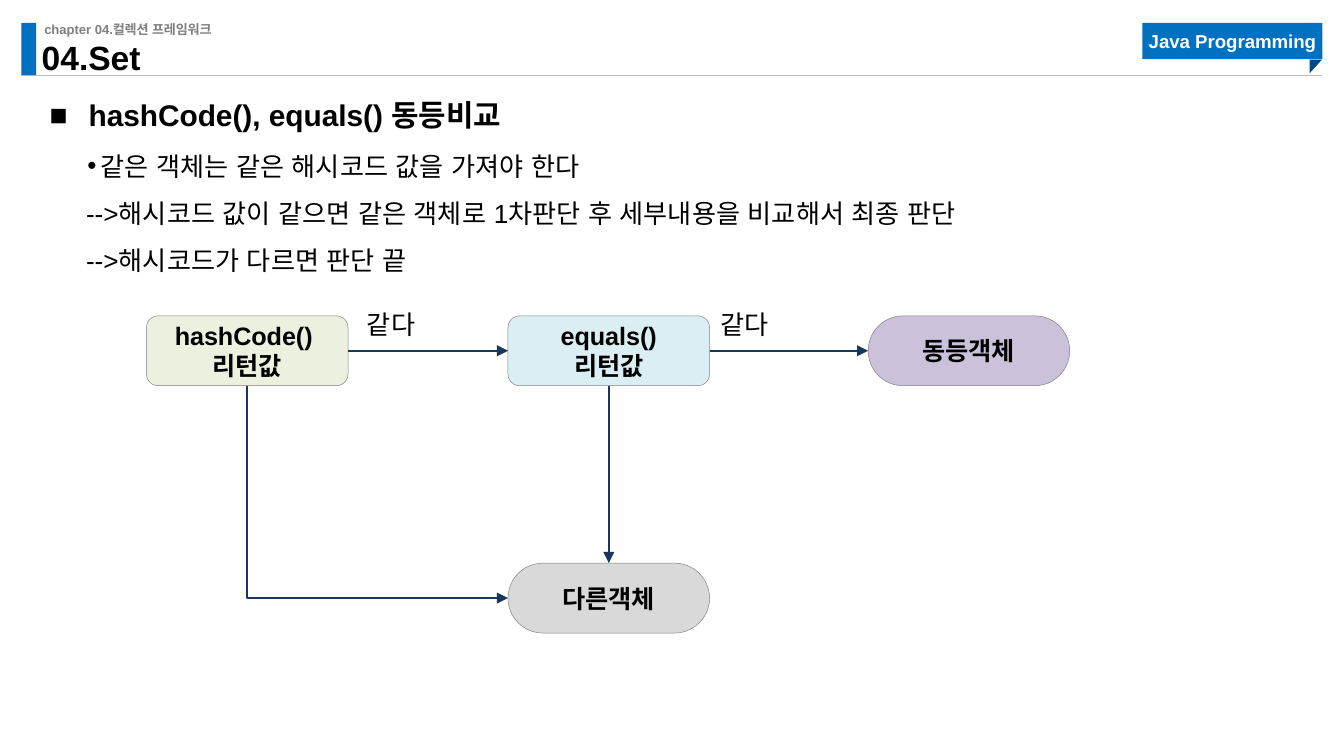
from lxml.etree import SubElement
from pptx import Presentation
from pptx.dml.color import RGBColor
from pptx.enum.shapes import MSO_CONNECTOR, MSO_SHAPE
from pptx.enum.text import MSO_ANCHOR, MSO_AUTO_SIZE, PP_ALIGN
from pptx.oxml.ns import qn
from pptx.util import Inches, Pt

COLORS = {
    "black": "000000", "white": "FFFFFF", "gray": "808080", "rule": "BFBFBF",
    "blue": "0070C0", "dark_blue": "004A82", "arrow": "17375E",
    "green": "EBF1DE", "cyan": "DBEEF4", "purple": "CCC1DA", "silver": "D9D9D9",
}
BOTTOM, LEFT, RIGHT, TOP = 2, 1, 3, 0
NODE_WIDTH, NODE_HEIGHT = 1.5, 0.52


def color(name):
    return RGBColor.from_string(COLORS[name])


def write(shape, lines, size, bold=False, ink="black", align=PP_ALIGN.LEFT,
          anchor=MSO_ANCHOR.TOP, spacing=1.0, inset=0):
    frame = shape.text_frame
    settings = {
        "word_wrap": True, "auto_size": MSO_AUTO_SIZE.NONE, "vertical_anchor": anchor,
        "margin_left": Inches(inset), "margin_right": Inches(inset),
        "margin_top": Inches(inset / 2), "margin_bottom": Inches(inset / 2),
    }
    for name, value in settings.items():
        setattr(frame, name, value)
    for index, line in enumerate(lines):
        paragraph = frame.paragraphs[0] if index == 0 else frame.add_paragraph()
        paragraph.text = line
        paragraph.alignment = align
        paragraph.line_spacing = spacing
        for run in paragraph.runs:
            font = {"name": "Arial", "size": Pt(size), "bold": bold}
            for name, value in font.items():
                setattr(run.font, name, value)
            SubElement(run._r.get_or_add_rPr(), qn("a:ea"), typeface="Arial")
            run.font.color.rgb = color(ink)
    return frame.paragraphs


def indent(paragraph, margin, first=0, bullet=None):
    properties = paragraph._p.get_or_add_pPr()
    properties.set("marL", str(Inches(margin)))
    properties.set("indent", str(Inches(first)))
    if bullet:
        SubElement(properties, qn("a:buFont"), typeface="Arial")
        SubElement(properties, qn("a:buChar"), char=bullet)


def add_text(slide, box, lines, size, **style):
    shape = slide.shapes.add_textbox(*map(Inches, box))
    return write(shape, lines, size, **style)


def add_block(slide, kind, box, fill, outline=None):
    shape = slide.shapes.add_shape(kind, *map(Inches, box))
    shape.shadow.inherit = False
    shape.fill.solid()
    shape.fill.fore_color.rgb = color(fill)
    if outline:
        shape.line.color.rgb = color(outline)
        shape.line.width = Pt(0.25)
    else:
        shape.line.fill.background()
    return shape


def add_line(slide, start, end, ink, width, kind=MSO_CONNECTOR.STRAIGHT, arrow=False):
    line = slide.shapes.add_connector(kind, *map(Inches, (*start, *end)))
    line.line.color.rgb = color(ink)
    line.line.width = Pt(width)
    if arrow:
        SubElement(line.line._get_or_add_ln(), qn("a:tailEnd"), type="triangle")
    SubElement(line._element.spPr, qn("a:effectLst"))
    return line


def add_header(slide, left, top, width, height):
    right, bottom = left + width, top + height
    add_line(slide, (left, bottom), (right, bottom), "rule", 0.5)
    add_block(slide, MSO_SHAPE.RECTANGLE, (left, top, 0.11, height), "blue")
    add_text(slide, (left + 0.17, top - 0.01, 3.23, 0.12),
             ["chapter 04.컬렉션 프레임워크"], 7, bold=True, ink="gray")
    badge = add_block(slide, MSO_SHAPE.RECTANGLE, (right - 1.34, top, 1.34, 0.27), "blue")
    write(badge, ["Java Programming"], 10, bold=True, ink="white",
          align=PP_ALIGN.CENTER, anchor=MSO_ANCHOR.MIDDLE)
    fold = add_block(slide, MSO_SHAPE.RIGHT_TRIANGLE,
                     (right - 0.1, top + 0.28, 0.1, 0.09), "dark_blue")
    fold.rotation = 90

    title = slide.shapes.title
    place = {"left": left + 0.15, "top": top + 0.18, "width": 3.3, "height": 0.23}
    for name, value in place.items():
        setattr(title, name, Inches(value))
    write(title, ["04.Set"], 18, bold=True, anchor=MSO_ANCHOR.BOTTOM, spacing=0.9)


def add_explanation(slide, left, top, width):
    heading, = add_text(slide, (left + 0.02, top, width, 0.33),
                        ["hashCode(), equals() 동등비교"], 16, bold=True, spacing=1.5)
    indent(heading, 0.29, -0.29, "■")
    point, *results = add_text(slide, (left, top + 0.41, 8.55, 1.06), [
        "같은 객체는 같은 해시코드 값을 가져야 한다",
        "-->해시코드 값이 같으면 같은 객체로 1차판단 후 세부내용을 비교해서 최종 판단",
        "-->해시코드가 다르면 판단 끝",
    ], 14, spacing=1.5)
    indent(point, 0.4, -0.1, "•")
    for result in results:
        indent(result, 0.29)


def add_node(slide, left, top, lines, fill, terminal=False):
    node = add_block(slide, MSO_SHAPE.ROUNDED_RECTANGLE,
                     (left, top, NODE_WIDTH, NODE_HEIGHT), fill, "gray")
    if terminal:
        node.adjustments[0] = 0.5
    write(node, lines, 13.5, bold=True, align=PP_ALIGN.CENTER,
          anchor=MSO_ANCHOR.MIDDLE, inset=0.1)
    return node


def join(slide, source, source_side, target, target_side):
    arrow = add_line(slide, (0, 0), (1, 1), "arrow", 1, arrow=True)
    arrow.begin_connect(source, source_side)
    arrow.end_connect(target, target_side)


def add_corner_arrow(slide, start, end):
    """Go down from start, then right to end, as a quarter-turned elbow."""
    across, down = end[0] - start[0], end[1] - start[1]
    center_x, center_y = start[0] + across / 2, start[1] + down / 2
    arrow = add_line(slide, (center_x + down / 2, center_y - across / 2),
                     (center_x - down / 2, center_y + across / 2),
                     "arrow", 1, MSO_CONNECTOR.ELBOW, arrow=True)
    properties = arrow._element.spPr
    properties.find(qn("a:xfrm")).set("rot", str(270 * 60000))
    properties.find(qn("a:prstGeom")).set("prst", "bentConnector2")


def add_flow(slide, left, top):
    middle, last, lower = left + 2.69, left + 5.37, top + 1.84
    hash_code = add_node(slide, left, top, ["hashCode() \v리턴값"], "green")
    equals = add_node(slide, middle, top, ["equals()", "리턴값"], "cyan")
    same = add_node(slide, last, top, ["동등객체"], "purple", terminal=True)
    different = add_node(slide, middle, lower, ["다른객체"], "silver", terminal=True)
    join(slide, hash_code, RIGHT, equals, LEFT)
    join(slide, equals, RIGHT, same, LEFT)
    join(slide, equals, BOTTOM, different, TOP)
    add_corner_arrow(slide, (left + NODE_WIDTH / 2, top + NODE_HEIGHT),
                     (middle, lower + NODE_HEIGHT / 2))
    for label_left in (left + 1.45, left + 4.08):
        add_text(slide, (label_left, top - 0.12, 0.74, 0.37), ["같다"], 14,
                 align=PP_ALIGN.CENTER, anchor=MSO_ANCHOR.MIDDLE)


def main():
    presentation = Presentation()
    presentation.slide_width = Inches(10)
    presentation.slide_height = Inches(10 * 9 / 16)
    slide = presentation.slides.add_slide(presentation.slide_layouts.get_by_name("Title Only"))
    add_header(slide, 0.16, 0.17, 9.68, 0.39)
    add_explanation(slide, 0.35, 0.59, 9.54)
    add_flow(slide, 1.09, 2.35)
    presentation.save("out.pptx")


if __name__ == "__main__":
    main()
